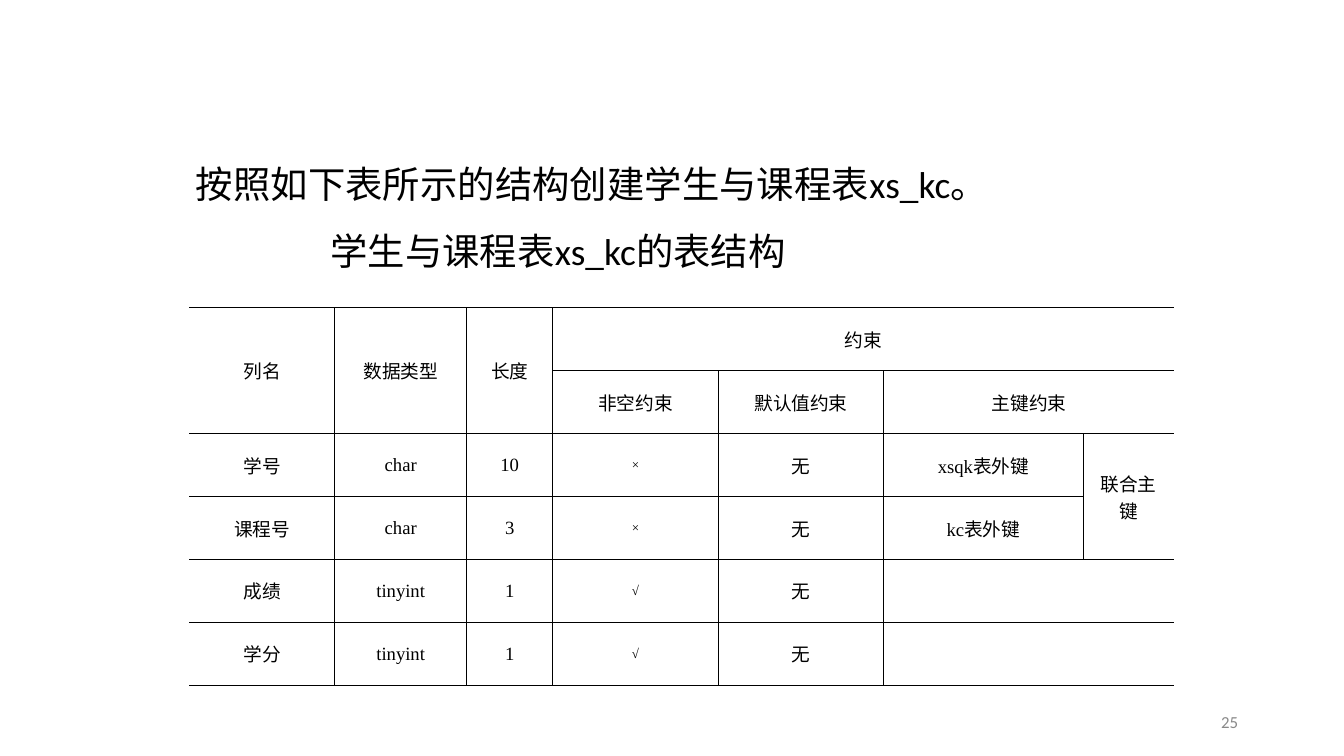
from dataclasses import dataclass

from lxml.etree import SubElement
from pptx import Presentation
from pptx.dml.color import RGBColor as RGB
from pptx.enum.text import MSO_ANCHOR as Anchor, PP_ALIGN as Align
from pptx.oxml.ns import qn
from pptx.util import Inches, Pt


@dataclass(frozen=True)
class Theme:
    """Colours, fonts and sizes of the slide."""
    ink: str = "000000"
    gray: str = "898989"
    sans: str = "Calibri"
    serif: str = "Times New Roman"
    lead: float = 20
    body: float = 10
    mark: float = 7
    foot: float = 9
    line: float = 0.45


THEME = Theme()
COLS = (1.08, 0.98, 0.64, 1.23, 1.23, 1.48, 0.68)
ROWS = (
    ("列名", "数据类型", "长度", "约束", "", "", ""),
    ("", "", "", "非空约束", "默认值约束", "主键约束", ""),
    ("学号", "char", "10", "×", "无", "xsqk表外键", "联合主键"),
    ("课程号", "char", "3", "×", "无", "kc表外键", ""),
    ("成绩", "tinyint", "1", "√", "无", "", ""),
    ("学分", "tinyint", "1", "√", "无", "", ""),
)
SPANS = {
    (0, 0): (2, 1), (0, 1): (2, 1), (0, 2): (2, 1), (0, 3): (1, 4),
    (1, 5): (1, 2), (2, 6): (2, 1), (4, 5): (1, 2), (5, 5): (1, 2),
}


def write(para, text, size, font=THEME.serif, color=THEME.ink,
          align=Align.LEFT, space=1.0, indent=0):
    """Fill a paragraph with formatted text."""
    para.alignment, para.line_spacing = align, space
    if indent:
        props = para._p.get_or_add_pPr()
        props.set("marL", str(Inches(indent)))
        props.set("indent", "0")
    para.font.size = Pt(size)
    if not text:
        return
    run = para.add_run()
    run.text = text
    run.font.size, run.font.name = Pt(size), font
    run.font.color.rgb = RGB.from_string(color)


def add_frame(slide, left, top, width, height):
    """Add a wrapping, middle-anchored text box and return its frame."""
    box = slide.shapes.add_textbox(*map(Inches, (left, top, width, height)))
    frame = box.text_frame
    frame.word_wrap, frame.vertical_anchor = True, Anchor.MIDDLE
    return frame


def add_intro(slide, left, top, width, height):
    """Add the task sentence and the indented table caption."""
    frame = add_frame(slide, left, top, width, height)
    look = dict(size=THEME.lead, font=THEME.sans, space=1.5)
    write(frame.paragraphs[0], "按照如下表所示的结构创建学生与课程表xs_kc。", **look)
    write(frame.add_paragraph(), "学生与课程表xs_kc的表结构", indent=1, **look)


def rule_cell(cell, first, last):
    """Rule a cell on all sides but the outer left and right of the table."""
    props = cell._tc.get_or_add_tcPr()
    for side, shown in (("L", not first), ("R", not last), ("T", True), ("B", True)):
        line = SubElement(props, qn(f"a:ln{side}"), w=str(Pt(THEME.line)))
        if shown:
            fill = SubElement(line, qn("a:solidFill"))
            SubElement(fill, qn("a:srgbClr"), val=THEME.ink)
        else:
            SubElement(line, qn("a:noFill"))
    cell.fill.background()


def add_grid(slide, left, top, width, height):
    """Add the table of columns and constraints."""
    box = map(Inches, (left, top, width, height))
    table = slide.shapes.add_table(len(ROWS), len(COLS), *box).table
    table.first_row = table.horz_banding = False
    for col, share in zip(table.columns, COLS):
        col.width = Inches(width * share / sum(COLS))
    for (r, c), (down, over) in SPANS.items():
        table.cell(r, c).merge(table.cell(r + down - 1, c + over - 1))
    for r, row in enumerate(ROWS):
        for c, text in enumerate(row):
            cell = table.cell(r, c)
            if cell.is_spanned:
                continue
            over = SPANS.get((r, c), (1, 1))[1]
            rule_cell(cell, c == 0, c + over == len(COLS))
            cell.vertical_anchor = Anchor.MIDDLE
            cell.margin_left = cell.margin_right = Inches(0.08)
            size = THEME.mark if text in ("×", "√") else THEME.body
            write(cell.text_frame.paragraphs[0], text, size, align=Align.CENTER)


def add_number(slide, left, top, width, height):
    """Add the page number at the right of its box."""
    frame = add_frame(slide, left, top, width, height)
    write(frame.paragraphs[0], "25", THEME.foot, font=THEME.sans,
          color=THEME.gray, align=Align.RIGHT)


def main():
    """Build and save the slide."""
    deck = Presentation()
    deck.slide_width = Inches(10)
    deck.slide_height = deck.slide_width * 9 // 16
    slide = deck.slides.add_slide(deck.slide_layouts[6])
    add_number(slide, 7.06, 5.22, 2.25, 0.3)
    add_intro(slide, 1.36, 0.98, 6.62, 1.1)
    add_grid(slide, 1.41, 2.29, 7.33, 2.81)
    deck.save("out.pptx")


if __name__ == "__main__":
    main()
